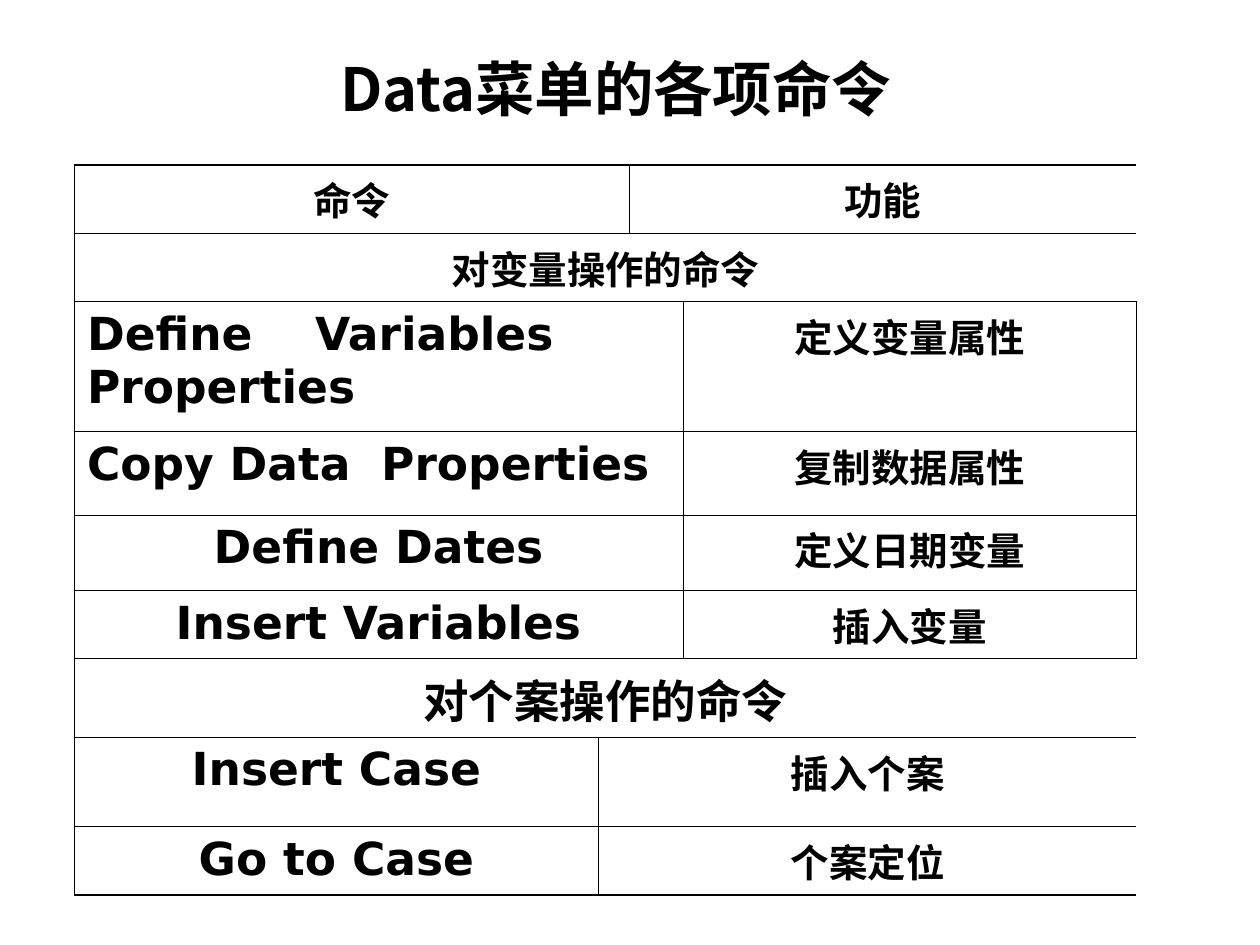
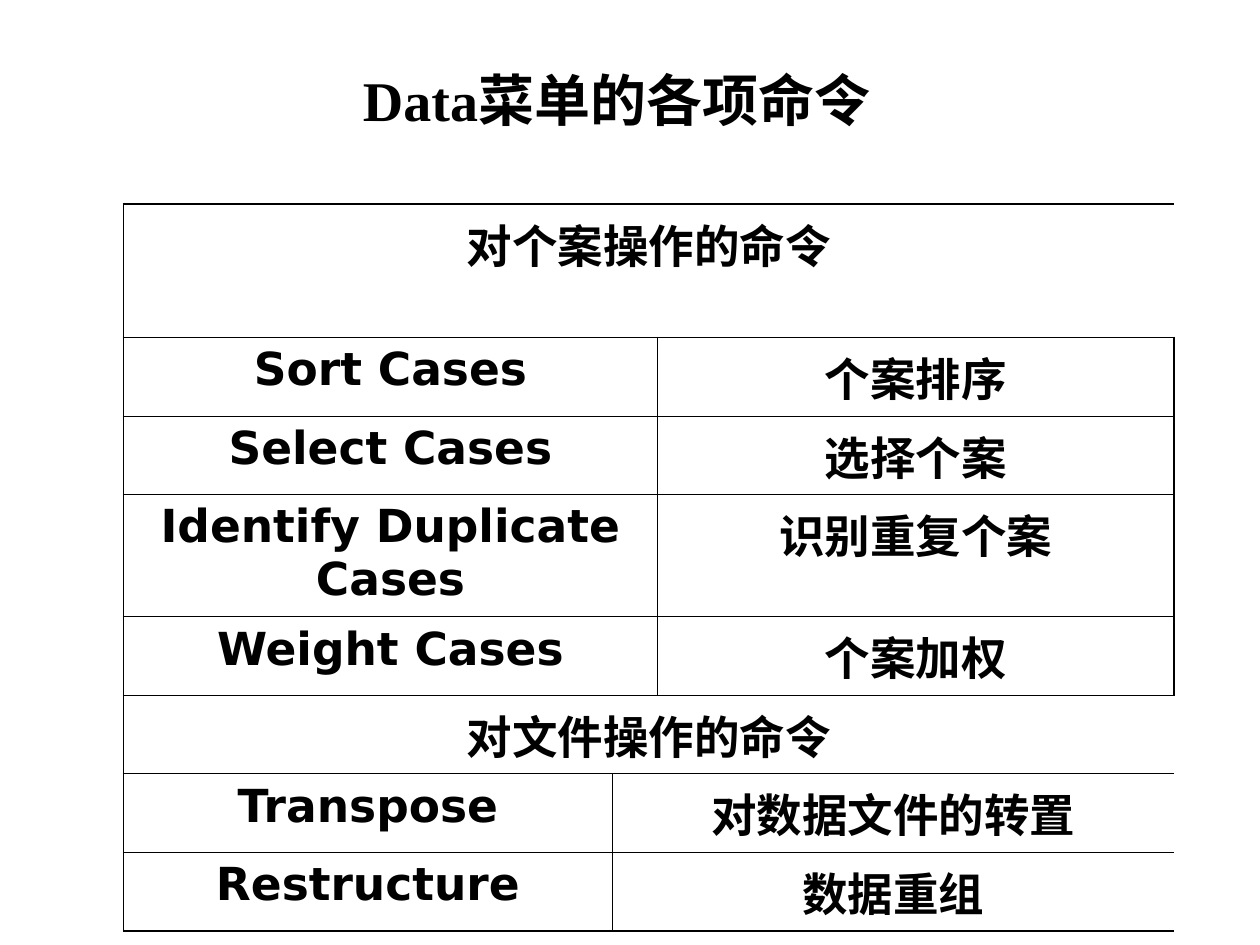
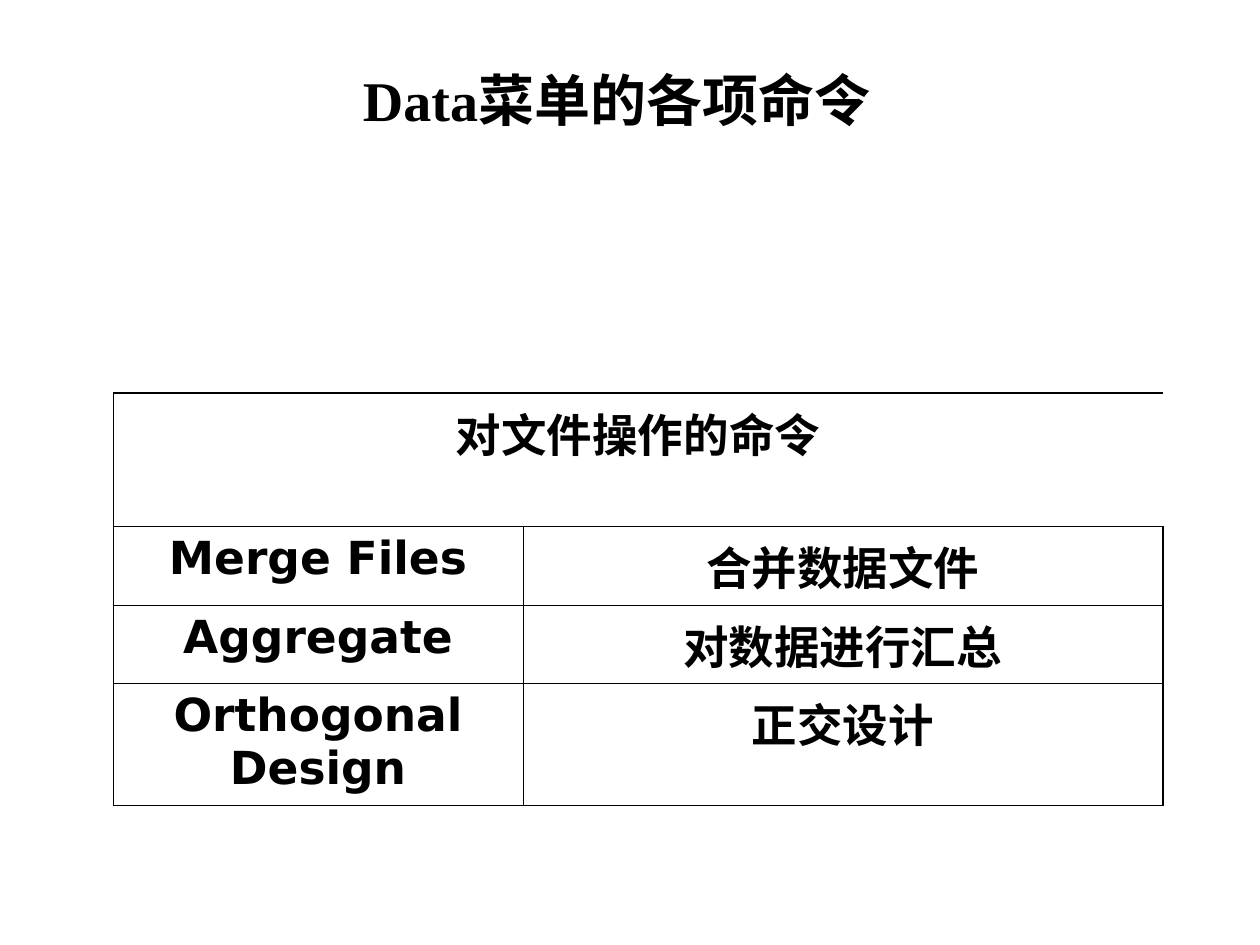
from dataclasses import dataclass
from lxml.etree import SubElement
from pptx import Presentation
from pptx.dml.color import RGBColor
from pptx.enum.text import MSO_ANCHOR, MSO_AUTO_SIZE, PP_ALIGN
from pptx.oxml.ns import qn
from pptx.util import Cm, Pt

BLACK = RGBColor(0, 0, 0)
SANS = "DejaVu Sans"
CJK = "Noto Sans CJK SC"
SERIF = "Times New Roman"
TITLE = "Data菜单的各项命令"
PLAIN_TABLE = "{2D5ABB26-0587-4C30-8999-92F81FD0307C}"
THIN, THICK = Pt(0.45), Pt(1.08)
ROW, DOUBLE, SECTION = 1.37, 2.46, 2.69


@dataclass
class Row:
    height: float
    command: str
    function: str = ""
    split: int = 1
    size: int = 26
    function_size: int = 26
    tab: float = 0


def format_run(p, font, size):
    r = p.runs[0]
    r.font.name = font
    r.font.size = Pt(size)
    r.font.bold = True
    r.font.color.rgb = BLACK
    SubElement(r.font._element, qn("a:ea"), typeface=CJK)


def add_title(s, box, font, size):
    sp = s.shapes.title
    sp.left, sp.top, sp.width, sp.height = map(Cm, box)
    tf = sp.text_frame
    tf.text = TITLE
    tf.word_wrap = True
    tf.auto_size = MSO_AUTO_SIZE.NONE
    tf.vertical_anchor = MSO_ANCHOR.BOTTOM
    p = tf.paragraphs[0]
    p.alignment = PP_ALIGN.CENTER
    format_run(p, font, size)


def set_borders(cell, widths):
    tc_pr = cell._tc.get_or_add_tcPr()
    for side, width in widths.items():
        ln = SubElement(tc_pr, qn(f"a:ln{side}"), w=str(width))
        fill = SubElement(ln, qn("a:solidFill"))
        SubElement(fill, qn("a:srgbClr"), val=str(BLACK))


def set_text(cell, text, size, tab=0):
    p = cell.text_frame.paragraphs[0]
    p.text = text
    p.alignment = PP_ALIGN.LEFT if tab else PP_ALIGN.CENTER
    p.space_before = Pt(size / 4)
    if tab:
        tabs = SubElement(p._p.get_or_add_pPr(), qn("a:tabLst"))
        SubElement(tabs, qn("a:tab"), pos=str(Cm(tab)), algn="l")
    format_run(p, SANS, size)


def add_command_table(s, left, top, col_widths, rows):
    n_cols = len(col_widths)
    height = sum(row.height for row in rows)
    table = s.shapes.add_table(len(rows), n_cols, Cm(left), Cm(top),
                               Cm(sum(col_widths)), Cm(height)).table
    table.first_row = table.horz_banding = False
    table._tbl.tblPr.find(qn("a:tableStyleId")).text = PLAIN_TABLE
    for col, width in zip(table.columns, col_widths):
        col.width = Cm(width)

    for i, row in enumerate(rows):
        table.rows[i].height = Cm(row.height)
        split = row.split if row.function else n_cols
        for j in range(n_cols):
            widths = {}
            if j in (0, split):
                widths["L"] = THIN if j else THICK
            if j + 1 in (split, n_cols):
                widths["R"] = THICK if j + 1 == n_cols else THIN
            widths["T"] = THIN if i else THICK
            widths["B"] = THICK if i + 1 == len(rows) else THIN
            set_borders(table.cell(i, j), widths)
        for start, end in ((0, split), (split, n_cols)):
            if end - start > 1:
                table.cell(i, start).merge(table.cell(i, end - 1))
        set_text(table.cell(i, 0), row.command, row.size, row.tab)
        if row.function:
            set_text(table.cell(i, split), row.function, row.function_size)
    for row in table.rows:
        for cell in row.cells:
            tc_pr = cell._tc.get_or_add_tcPr()
            SubElement(tc_pr, qn("a:noFill"))


def add_slide(prs, title, table):
    s = prs.slides.add_slide(prs.slide_layouts[5])
    add_title(s, *title)
    add_command_table(s, *table)


def main():
    prs = Presentation()
    prs.slide_width, prs.slide_height = Cm(25.4), Cm(19.05)
    serif_title = ((2.49, 0.91, 19.89, 1.9), SERIF, 32)

    add_slide(prs, ((1.3, 1.12, 22.22, 1.5), CJK, 34),
              (1.5, 3.33, (10.57, 0.61, 1.09, 9.14), [
                  Row(1.19, "命令", "功能", 2, 22, 22),
                  Row(1.19, "对变量操作的命令", size=22),
                  Row(2.62, "Define\tVariables Properties", "定义变量属性", 3, 26, 22, 4.6),
                  Row(1.68, "Copy Data\tProperties", "复制数据属性", 3, 26, 22, 5.93),
                  Row(1.52, "Define Dates", "定义日期变量", 3, 26, 22),
                  Row(ROW, "Insert Variables", "插入变量", 3, 26, 22),
                  Row(1.47, "对个案操作的命令"),
                  Row(1.8, "Insert Case", "插入个案", 1, 26, 22),
                  Row(ROW, "Go to Case", "个案定位", 1, 26, 22),
              ]))

    add_slide(prs, serif_title,
              (2.49, 4.11, (9.86, 0.91, 10.41), [
                  Row(SECTION, "对个案操作的命令"),
                  Row(ROW, "Sort Cases", "个案排序", 2),
                  Row(ROW, "Select Cases", "选择个案", 2),
                  Row(DOUBLE, "Identify Duplicate Cases", "识别重复个案", 2),
                  Row(ROW, "Weight Cases", "个案加权", 2),
                  Row(ROW, "对文件操作的命令"),
                  Row(ROW, "Transpose", "对数据文件的转置"),
                  Row(ROW, "Restructure", "数据重组"),
              ]))

    add_slide(prs, serif_title,
              (2.29, 7.92, (8.25, 12.9), [
                  Row(SECTION, "对文件操作的命令"),
                  Row(ROW, "Merge Files", "合并数据文件"),
                  Row(ROW, "Aggregate", "对数据进行汇总"),
                  Row(DOUBLE, "Orthogonal Design", "正交设计"),
              ]))

    prs.save("out.pptx")


if __name__ == "__main__":
    main()
